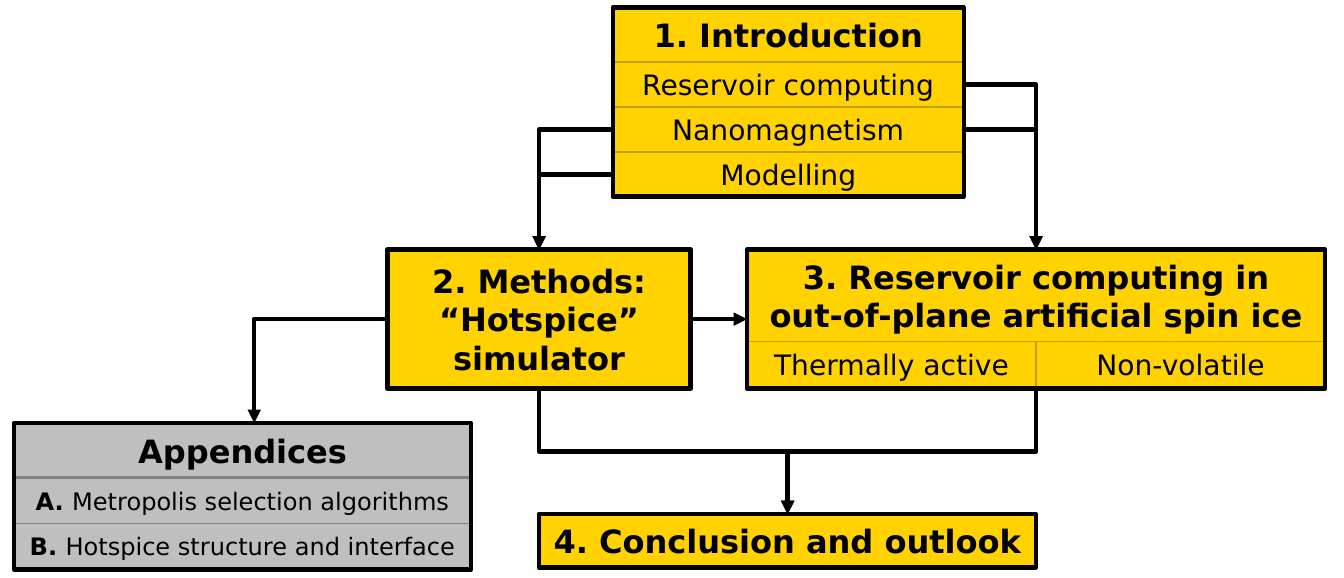
from lxml.etree import SubElement
from pptx import Presentation
from pptx.dml.color import RGBColor
from pptx.enum.shapes import MSO_CONNECTOR as Link, MSO_SHAPE as Shape
from pptx.enum.text import MSO_ANCHOR as Anchor, PP_ALIGN as Align
from pptx.oxml.ns import qn
from pptx.util import Cm, Pt

YELLOW, GOLD = "FFD200", "C0A000"
SILVER, GREY, BLACK = "BFBFBF", "808080", "000000"

deck = Presentation()
deck.slide_width, deck.slide_height = Cm(23.62), Cm(10.16)
slide = deck.slides.add_slide(deck.slide_layouts[6])


def box(left, top, width, height, text="", fill=None, line=None,
        weight=0.75, size=16, bold=True, label=""):
    """Rectangle with centred text, optionally led by a bold label."""
    rect = slide.shapes.add_shape(Shape.RECTANGLE, Cm(left), Cm(top), Cm(width), Cm(height))
    rect.shadow.inherit = False
    if fill:
        rect.fill.solid()
        rect.fill.fore_color.rgb = RGBColor.from_string(fill)
    else:
        rect.fill.background()
    if line:
        rect.line.color.rgb = RGBColor.from_string(line)
        rect.line.width = Pt(weight)
    else:
        rect.line.fill.background()
    frame = rect.text_frame
    frame.word_wrap = True
    frame.vertical_anchor = Anchor.MIDDLE
    frame.margin_left = frame.margin_right = 0
    for number, words in enumerate(text.split("\n") if text else []):
        paragraph = frame.add_paragraph() if number else frame.paragraphs[0]
        paragraph.alignment = Align.CENTER
        for part, heavy in ((label, True), (words, bold)):
            if part:
                run = paragraph.add_run()
                run.text = part
                run.font.name, run.font.size, run.font.bold = "DejaVu Sans", Pt(size), heavy
                run.font.color.rgb = RGBColor.from_string(BLACK)
    return rect


def arrow(x1, y1, x2, y2, kind=Link.ELBOW, preset=None, turn=0):
    """Black arrow; preset picks the bend and turn rotates it in degrees."""
    link = slide.shapes.add_connector(kind, Cm(x1), Cm(y1), Cm(x2), Cm(y2))
    link.line.color.rgb = RGBColor.from_string(BLACK)
    link.line.width = Pt(2.25)
    properties = link._element.spPr
    if preset:
        properties.find(qn("a:prstGeom")).set("prst", preset)
    if turn:
        properties.find(qn("a:xfrm")).set("rot", str(turn * 60000))
    SubElement(link.line._get_or_add_ln(), qn("a:tailEnd"), type="triangle")
    SubElement(properties, qn("a:effectLst"))
    return link


# Chapter frames: left, top, width, height
introduction = (10.77, 0.13, 6.17, 3.33)
methods = (6.81, 4.39, 5.33, 2.44)
reservoir = (13.13, 4.39, 10.16, 2.44)
conclusion = (9.47, 9.04, 8.74, 0.94)
appendices = (0.25, 7.44, 8.03, 2.57)
ROW = 0.8

# 1. Introduction
left, top, width, height = introduction
topics = ["Reservoir computing", "Nanomagnetism", "Modelling"]
box(left, top, width, 0.97, "1. Introduction", fill=YELLOW)
topic_middles = []
for index, topic in enumerate(topics):
    row_top = 1.09 + index * 0.79
    box(left, row_top, width, ROW, topic, fill=YELLOW, line=GOLD, size=14, bold=False)
    topic_middles.append(row_top + ROW / 2)

# 2. Methods
box(*methods, "2. Methods: “Hotspice” simulator", fill=YELLOW)

# 3. Reservoir computing
left, top, width, height = reservoir
box(left, top, width, 1.62,
    "3. Reservoir computing in\nout-of-plane artificial spin ice", fill=YELLOW)
for index, regime in enumerate(["Thermally active", "Non-volatile"]):
    box(left + index * width / 2, 6.0, width / 2, ROW, regime,
        fill=YELLOW, line=GOLD, size=14, bold=False)

# 4. Conclusion
box(*conclusion, "4. Conclusion and outlook", fill=YELLOW)

# Appendices
left, top, width, height = appendices
box(left, top, width, 0.95, "Appendices", fill=SILVER, line=GREY)
for index, (letter, title) in enumerate([("A. ", "Metropolis selection algorithms"),
                                         ("B. ", "Hotspice structure and interface")]):
    box(left, 8.4 + index * ROW, width, ROW, title, label=letter,
        fill=SILVER, line=GREY, size=12, bold=False)

# Arrows from the introduction topics down to chapters 2 and 3
methods_x = methods[0] + methods[2] / 2
reservoir_x = reservoir[0] + reservoir[2] / 2
chapter_top = methods[1]
for y in topic_middles[1:]:
    arrow(introduction[0], y, methods_x, chapter_top, preset="bentConnector2")
for y in topic_middles[:2]:
    arrow(introduction[0] + introduction[2], y, reservoir_x, chapter_top,
          preset="bentConnector2")

# Arrows from chapters 2 and 3 that meet above the conclusion
chapter_bottom = methods[1] + methods[3]
drop = conclusion[1] - chapter_bottom
span = (reservoir_x - methods_x) / 2
middle_x = (methods_x + reservoir_x) / 2
middle_y = chapter_bottom + drop / 2
for side, turn in ((1, 90), (-1, 270)):
    centre_x = middle_x + side * span / 2
    arrow(centre_x - side * drop / 2, middle_y - span / 2,
          centre_x + side * drop / 2, middle_y + span / 2, turn=turn)

# Arrow from the methods to the appendices
methods_y = methods[1] + methods[3] / 2
arrow(methods[0], methods_y, 4.47, appendices[1], preset="bentConnector2")

# Heavy frames around the chapters
frames = [box(*area, line=BLACK, weight=2.25)
          for area in (introduction, methods, reservoir, conclusion, appendices)]

# Arrow from the methods to reservoir computing
across = arrow(methods[0] + methods[2], methods_y, reservoir[0], methods_y, kind=Link.STRAIGHT)
across.begin_connect(frames[1], 3)
across.end_connect(frames[2], 1)

deck.save("out.pptx")
